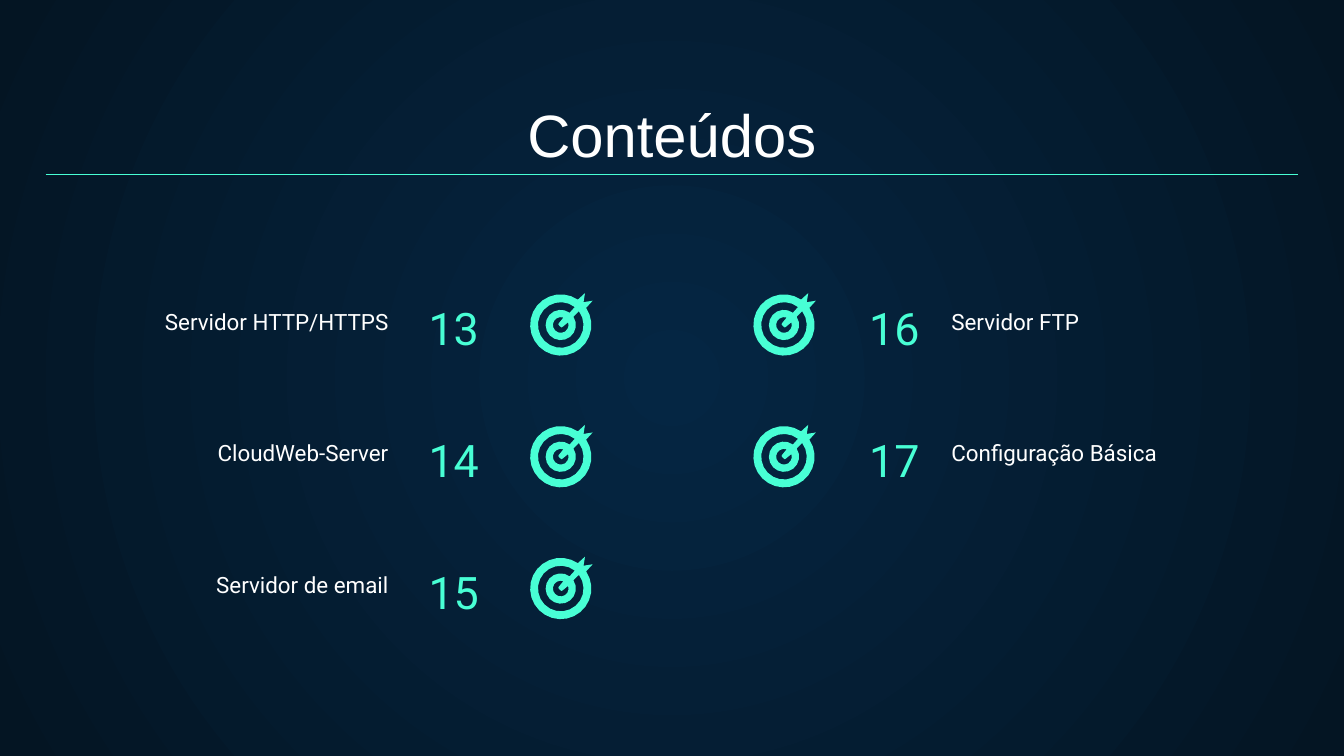
import math

import lxml.etree
import pptx
import pptx.dml.color
import pptx.enum.shapes
import pptx.enum.text
import pptx.oxml
import pptx.oxml.ns
import pptx.util

Pt = pptx.util.Pt
ALIGN = pptx.enum.text.PP_ALIGN

WHITE = pptx.dml.color.RGBColor(0xFF, 0xFF, 0xFF)
MINT = pptx.dml.color.RGBColor(0x48, 0xFF, 0xD5)
NAVY = pptx.dml.color.RGBColor(0x05, 0x26, 0x43)
MIDNIGHT = pptx.dml.color.RGBColor(0x04, 0x15, 0x23)

MARGIN = 24.5
SLIDE_WIDTH = 720
FIRST_ROW, ROW_PITCH = 174.1, 70.6  # icon centres
LABEL_HEIGHT = 25.9
NUMBER_WIDTH, NUMBER_HEIGHT = 92.9, 47.5

# Each entry: number, label, width of the label box
LEFT_ENTRIES = [
    ("13", "Servidor HTTP/HTTPS", 189.4),
    ("14", "CloudWeb-Server", 163.4),
    ("15", "Servidor de email", 163.4),
]
RIGHT_ENTRIES = [
    ("16", "Servidor FTP", 163.4),
    ("17", "Configuração Básica", 165.6),
]


def set_background(slide):
    fill = slide.background.fill
    fill.gradient()
    for stop, color in zip(fill.gradient_stops, (NAVY, MIDNIGHT)):
        stop.color.rgb = color
    # Turn the linear gradient into a circle around the slide centre
    gradient = slide.element.find(".//" + pptx.oxml.ns.qn("a:gradFill"))
    gradient.remove(gradient.find(pptx.oxml.ns.qn("a:lin")))
    gradient.append(pptx.oxml.parse_xml(
        '<a:path xmlns:a="http://schemas.openxmlformats.org/drawingml/2006/main"'
        ' path="circle"><a:fillToRect l="50000" t="50000" r="50000" b="50000"/>'
        "</a:path>"))


def add_text(slide, text, left, top, width, height, size, color, font_name, align):
    box = slide.shapes.add_textbox(Pt(left), Pt(top), Pt(width), Pt(height))
    frame = box.text_frame
    frame.word_wrap = True
    frame.vertical_anchor = pptx.enum.text.MSO_ANCHOR.BOTTOM
    frame.margin_left = frame.margin_right = Pt(7.2)
    frame.margin_top = frame.margin_bottom = Pt(7.2)
    paragraph = frame.paragraphs[0]
    paragraph.alignment = align
    run = paragraph.add_run()
    run.text = text
    run.font.size = Pt(size)
    run.font.name = font_name
    run.font.color.rgb = color


def add_rule(slide, y):
    line = slide.shapes.add_connector(
        pptx.enum.shapes.MSO_CONNECTOR.STRAIGHT,
        Pt(MARGIN), Pt(y), Pt(SLIDE_WIDTH - MARGIN), Pt(y))
    line.line.color.rgb = MINT
    line.line.width = Pt(0.75)
    properties = line.element.find(pptx.oxml.ns.qn("p:spPr"))
    lxml.etree.SubElement(properties, pptx.oxml.ns.qn("a:effectLst"))


def arc(radius, start, end):
    """Points of an arc around (0, 0), angles in degrees, anticlockwise."""
    steps = round(8 + radius)  # larger arcs need more points
    angles = [math.radians(start + (end - start) * i / steps) for i in range(steps + 1)]
    return [(radius * math.cos(a), -radius * math.sin(a)) for a in angles]


def add_target(slide, x, y):
    silhouette = arc(16.4, 56, 394) + [(17.1, -13), (12.2, -12.2), (13, -17.1)]
    ring_gap = arc(12.2, 52, 397) + arc(8.1, 393, 54)
    bullseye = arc(4.2, 70, 380) + [
        (1, 1), (0.4, 1.3), (-0.6, 0.6), (-1.3, -0.4), (-1, -1)]
    # Inner outlines run the other way round, so they are holes
    contours = [silhouette, ring_gap[::-1], bullseye[::-1]]

    builder = None
    for contour in contours:
        points = [(round(px * 100), round(py * 100)) for px, py in contour]
        if builder is None:
            builder = slide.shapes.build_freeform(*points[0], scale=Pt(1) / 100)
        else:
            builder.move_to(*points[0])
        builder.add_line_segments(points[1:], close=True)
    shape = builder.convert_to_shape(Pt(x), Pt(y))
    shape.shadow.inherit = False
    shape.fill.solid()
    shape.fill.fore_color.rgb = MINT
    shape.line.fill.background()


def add_column(slide, entries, icon_x, number_left, number_align,
               label_edge, label_align):
    for row, (number, label, width) in enumerate(entries):
        y = FIRST_ROW + row * ROW_PITCH
        label_left = label_edge - width if label_align == ALIGN.RIGHT else label_edge
        add_text(slide, number, number_left, y - 24.3, NUMBER_WIDTH, NUMBER_HEIGHT,
                 24, MINT, "Roboto", number_align)
        add_text(slide, label, label_left, y - 13.5, width, LABEL_HEIGHT,
                 12, WHITE, "Roboto", label_align)
        add_target(slide, icon_x, y)


def main():
    presentation = pptx.Presentation()
    presentation.slide_width = Pt(SLIDE_WIDTH)
    presentation.slide_height = Pt(405)
    slide = presentation.slides.add_slide(presentation.slide_layouts[6])
    set_background(slide)

    # Heading
    add_text(slide, "Conteúdos", MARGIN, 50.4, SLIDE_WIDTH - 2 * MARGIN, 47.5,
             32, WHITE, "Arial", ALIGN.CENTER)
    add_rule(slide, 93.6)

    # Contents in two columns
    add_column(slide, LEFT_ENTRIES, 300.4, 222.5, ALIGN.LEFT, 215.3, ALIGN.RIGHT)
    add_column(slide, RIGHT_ENTRIES, 420, 406.8, ALIGN.RIGHT, 502.6, ALIGN.LEFT)

    presentation.save("out.pptx")


if __name__ == "__main__":
    main()
